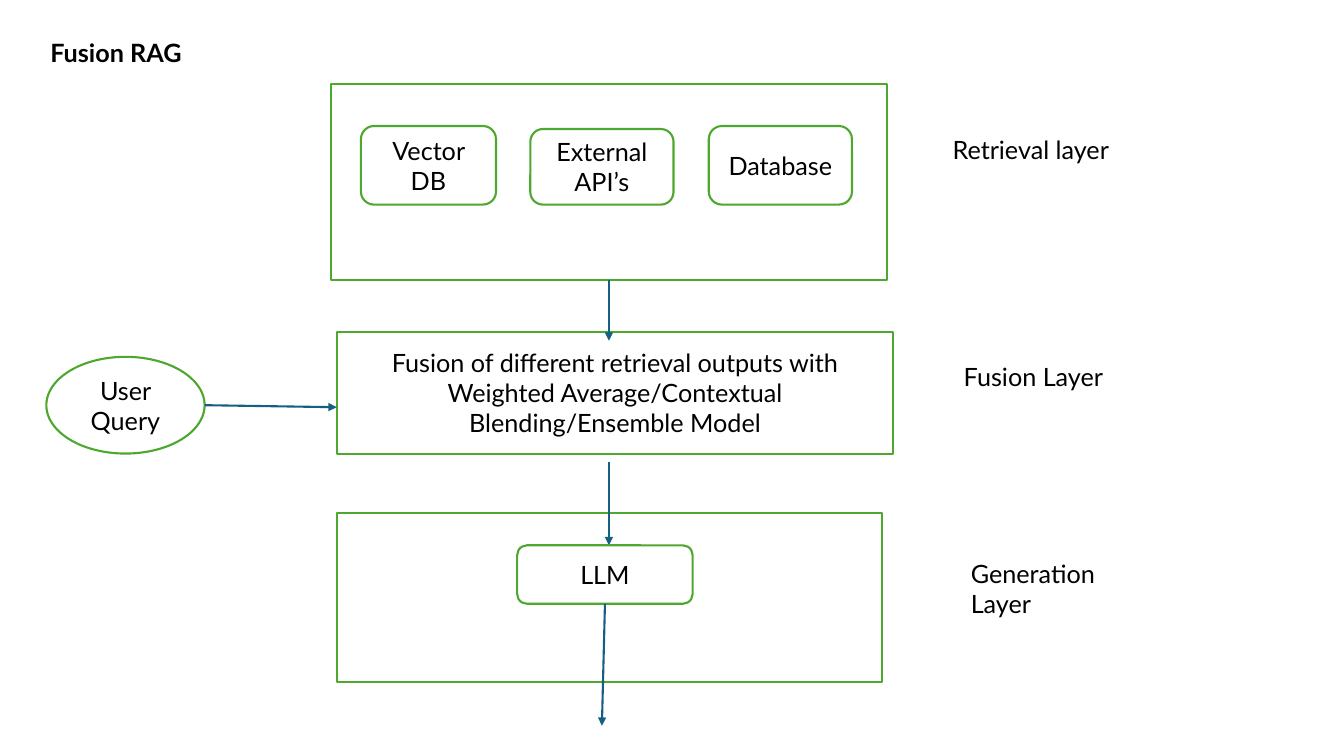
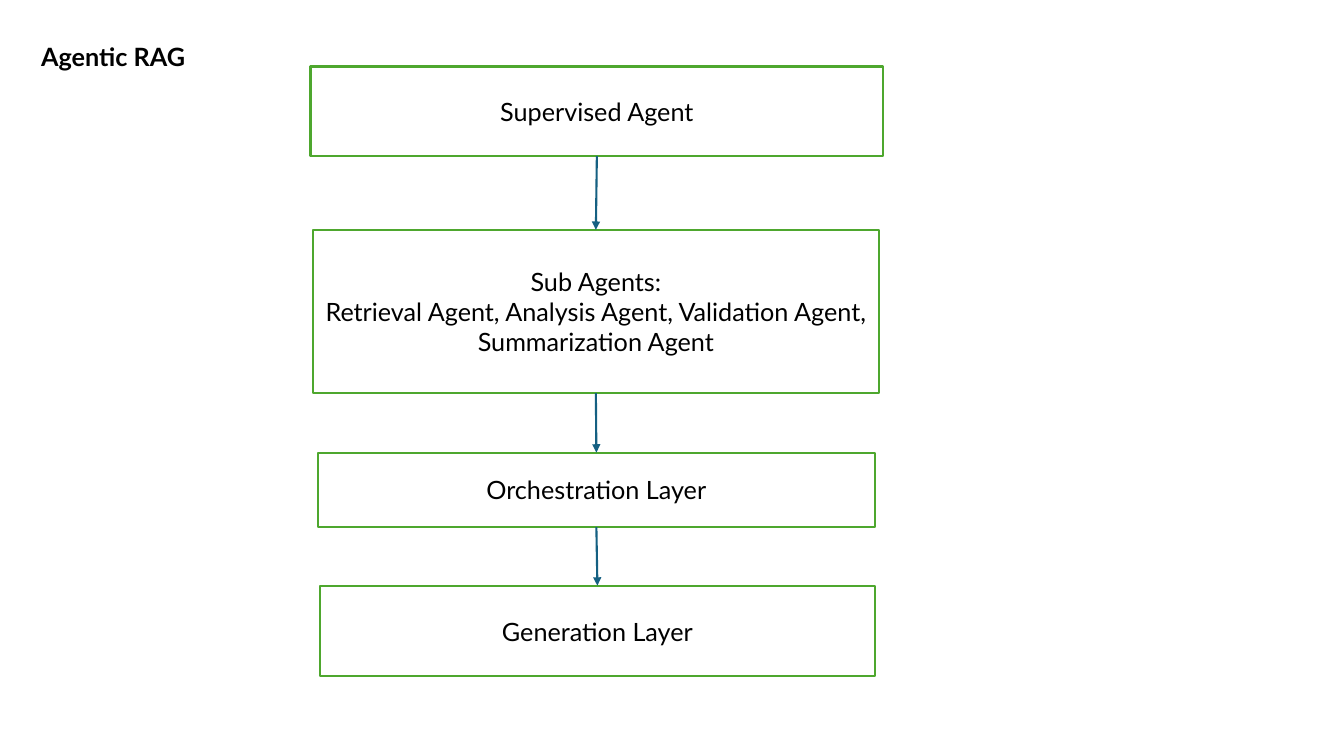
from lxml import etree
from pptx import Presentation
from pptx.dml.color import RGBColor
from pptx.enum.shapes import MSO_CONNECTOR, MSO_SHAPE as Shape
from pptx.enum.text import MSO_ANCHOR, MSO_AUTO_SIZE, PP_ALIGN
from pptx.oxml.ns import qn
from pptx.util import Pt

PX = 9144  # 100 px to the inch
FONT = "Lato"
TEXT_SIZE = Pt(18)
LINE_WIDTH = Pt(1.5)
WHITE = RGBColor(0xFF, 0xFF, 0xFF)
BLACK = RGBColor(0x00, 0x00, 0x00)
GREEN = RGBColor(0x4E, 0xA7, 0x2E)
BLUE = RGBColor(0x15, 0x60, 0x82)
TOP, BOTTOM = 0, 2


def add_box(page, kind, left, top, width, height, text=""):
    """Add a green-outlined shape; each line of text is a centred paragraph."""
    box = page.shapes.add_shape(kind, left * PX, top * PX, width * PX, height * PX)
    box.shadow.inherit = False
    box.fill.solid()
    box.fill.fore_color.rgb = WHITE
    box.line.color.rgb = GREEN
    box.line.width = LINE_WIDTH
    frame = box.text_frame
    frame.word_wrap = True
    frame.vertical_anchor = MSO_ANCHOR.MIDDLE
    frame.text = text
    for para in frame.paragraphs:
        para.alignment = PP_ALIGN.CENTER
        para.font.name = FONT
        para.font.size = TEXT_SIZE
        para.font.color.rgb = BLACK
    return box


def add_arrow(page, start=(0, 0), end=(0, 0), source=None, target=None):
    """Add an arrow; a source or target box replaces the point at that end."""
    points = [value * PX for value in (*start, *end)]
    arrow = page.shapes.add_connector(MSO_CONNECTOR.STRAIGHT, *points)
    if source is not None:
        arrow.begin_connect(source, BOTTOM)
    if target is not None:
        arrow.end_connect(target, TOP)
    arrow.line.color.rgb = BLUE
    arrow.line.width = LINE_WIDTH
    etree.SubElement(arrow.line._get_or_add_ln(), qn("a:tailEnd"), type="triangle")
    etree.SubElement(arrow._element.spPr, qn("a:effectLst"))


deck = Presentation()
deck.slide_width = 1333 * PX
deck.slide_height = 750 * PX
blank = deck.slide_layouts[6]

# Fusion RAG
fusion_page = deck.slides.add_slide(blank)
retrieval = add_box(fusion_page, Shape.RECTANGLE, 328, 83, 552, 195)
add_box(fusion_page, Shape.RECTANGLE, 334, 329, 552, 121,
        "Fusion of different retrieval outputs with Weighted Average/Contextual "
        "Blending/Ensemble Model")
add_box(fusion_page, Shape.RECTANGLE, 334, 509, 541, 168)
for left, top, width, height, text in (
    (358, 125, 134, 78, "Vector DB"),
    (526, 128, 142, 75, "External API’s"),
    (703, 125, 142, 78, "Database"),
):
    add_box(fusion_page, Shape.ROUNDED_RECTANGLE, left, top, width, height, text)
add_arrow(fusion_page, end=(604, 338), source=retrieval)
add_arrow(fusion_page, start=(604, 458), end=(604, 541))
llm = add_box(fusion_page, Shape.ROUNDED_RECTANGLE, 513, 541, 174, 58, "LLM")
add_arrow(fusion_page, end=(597, 720), source=llm)
add_box(fusion_page, Shape.OVAL, 46, 354, 157, 96, "User Query")
add_arrow(fusion_page, start=(203, 402), end=(334, 404))

# Agentic RAG
agentic_page = deck.slides.add_slide(blank)
stages = [
    add_box(agentic_page, Shape.RECTANGLE, left, top, width, height, text)
    for left, top, width, height, text in (
        (308, 66, 568, 89, "Supervised Agent"),
        (310, 228, 562, 162, "Sub Agents:\nRetrieval Agent, Analysis Agent, "
                             "Validation Agent, Summarization Agent"),
        (315, 449, 553, 74, "Orchestration Layer"),
        (317, 581, 551, 90, "Generation Layer"),
    )
]
for upper, lower in zip(stages, stages[1:]):
    add_arrow(agentic_page, source=upper, target=lower)

# Titles and layer labels
for page, left, top, width, height, text, bold in (
    (fusion_page, 935, 128, 216, 40, "Retrieval layer", False),
    (fusion_page, 946, 354, 188, 40, "Fusion Layer", False),
    (fusion_page, 953, 549, 198, 71, "Generation Layer", False),
    (fusion_page, 40, 32, 252, 40, "Fusion RAG", True),
    (agentic_page, 31, 36, 241, 40, "Agentic RAG", True),
):
    label = page.shapes.add_textbox(left * PX, top * PX, width * PX, height * PX)
    frame = label.text_frame
    frame.word_wrap = True
    frame.auto_size = MSO_AUTO_SIZE.SHAPE_TO_FIT_TEXT
    frame.text = text
    font = frame.paragraphs[0].font
    font.name = FONT
    font.size = TEXT_SIZE
    font.bold = bold
    font.color.rgb = BLACK

deck.save("out.pptx")
